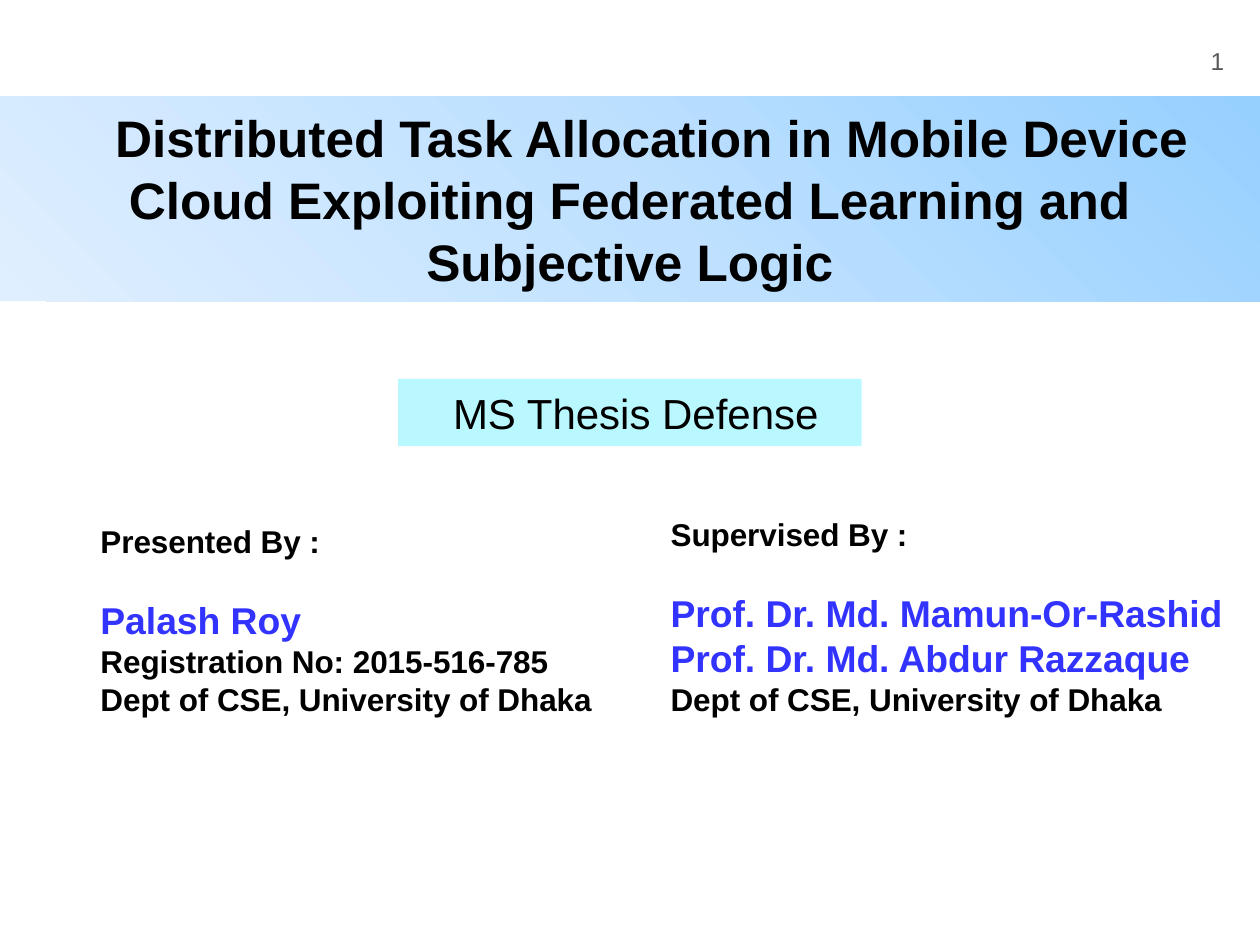
from pptx import Presentation, util as u
from pptx.dml.color import RGBColor
from pptx.enum import shapes, text
from pptx.oxml import parse_xml
from pptx.oxml.ns import nsdecls

BLACK = RGBColor(0x00, 0x00, 0x00)
BLUE = RGBColor(0x33, 0x33, 0xFF)
GREY = RGBColor(0x59, 0x59, 0x59)
CYAN = RGBColor(0xBA, 0xF8, 0xFF)
BAND_STOPS = [
    (0, RGBColor(0x96, 0xD0, 0xFF)),
    (50, RGBColor(0xBF, 0xE1, 0xFF)),
    (100, RGBColor(0xE0, 0xEF, 0xFF)),
]
FONT = "Arial"

TITLE = ("Distributed Task Allocation in Mobile Device Cloud "
         "Exploiting Federated Learning and Subjective Logic")
OCCASION = "MS Thesis Defense"
PAGE = "1"
# left, top, width, height and inset in cm; then heading, names, details
CREDITS = [
    ((9.96, 7.61, 9.09, 3.91), (0.18, 0.18), "Supervised By :",
     ["Prof. Dr. Md. Mamun-Or-Rashid", "Prof. Dr. Md. Abdur Razzaque"],
     ["Dept of CSE, University of Dhaka"]),
    ((1.27, 7.77, 8.79, 3.25), (0.25, 0.13), "Presented By :",
     ["Palash Roy"],
     ["Registration No: 2015-516-785", "Dept of CSE, University of Dhaka"]),
]

WIDTH, HEIGHT = 19.05, 14.29
prs = Presentation()
prs.slide_width, prs.slide_height = u.Cm(WIDTH), u.Cm(HEIGHT)
s = prs.slides.add_slide(prs.slide_layouts[6])


def frame(sp, inset=(0.25, 0.13), anchor=text.MSO_ANCHOR.TOP):
    tf = sp.text_frame
    tf.word_wrap = True
    tf.vertical_anchor = anchor
    tf.margin_left = tf.margin_right = u.Cm(inset[0])
    tf.margin_top = tf.margin_bottom = u.Cm(inset[1])
    return tf


def write(tf, line, size, color=BLACK, bold=False, align=text.PP_ALIGN.LEFT,
          before=0, indent=0):
    """Fill the empty first paragraph, or add one below."""
    p = tf.paragraphs[0] if not tf.text else tf.add_paragraph()
    p.alignment = align
    if before:
        p.space_before = u.Pt(before)
    if indent:
        p._p.get_or_add_pPr().set("indent", str(u.Cm(indent)))
    r = p.add_run()
    r.text = line
    r.font.name, r.font.size = FONT, u.Pt(size)
    r.font.bold, r.font.color.rgb = bold, color


def add_text_box(box):
    return s.shapes.add_textbox(*map(u.Cm, box))


def add_panel(box):
    sp = s.shapes.add_shape(shapes.MSO_SHAPE.RECTANGLE, *map(u.Cm, box))
    sp.shadow.inherit = False
    sp.line.fill.background()
    return sp


def fill_from_top_right(sp, stops):
    """Circular gradient centred on the top right corner."""
    gs = "".join(f'<a:gs pos="{pos * 1000}"><a:srgbClr val="{color}"/></a:gs>'
                 for pos, color in stops)
    sp._element.spPr.find("{*}prstGeom").addnext(parse_xml(
        f'<a:gradFill {nsdecls("a")} rotWithShape="1"><a:gsLst>{gs}</a:gsLst>'
        '<a:path path="circle"><a:fillToRect l="100000" b="100000"/></a:path>'
        '</a:gradFill>'))


for box, inset, heading, names, details in CREDITS:
    tf = frame(add_text_box(box), inset)
    write(tf, heading, 13.5, bold=True)
    for i, name in enumerate(names):
        write(tf, name, 16, color=BLUE, bold=True, before=0 if i else 16)
    for detail in details:
        write(tf, detail, 13.5, bold=True)

band = add_panel((0, 1.46, WIDTH, 3.1))
fill_from_top_right(band, BAND_STOPS)
write(frame(band, anchor=text.MSO_ANCHOR.MIDDLE), TITLE, 22, bold=True,
      align=text.PP_ALIGN.CENTER, indent=0.66)

label = add_panel((6.02, 5.73, 7.01, 1.02))
label.fill.solid()
label.fill.fore_color.rgb = CYAN
write(frame(label), OCCASION, 18, align=text.PP_ALIGN.CENTER, indent=0.18)

number = add_text_box((17.62, 0.37, 1.14, 1.09))
write(frame(number, (0.25, 0.25), text.MSO_ANCHOR.MIDDLE), PAGE, 10.5,
      color=GREY, align=text.PP_ALIGN.RIGHT)

prs.save("out.pptx")
